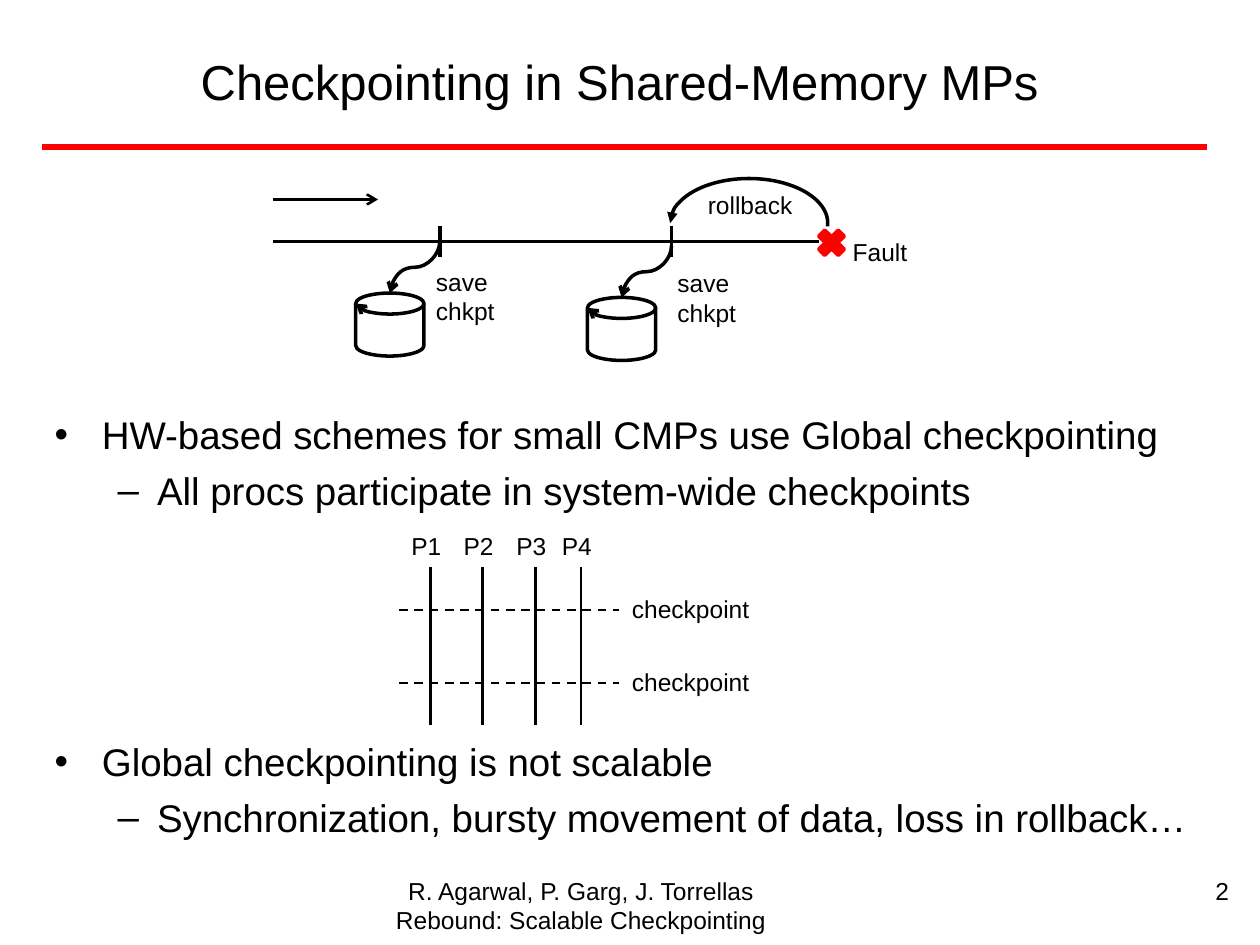
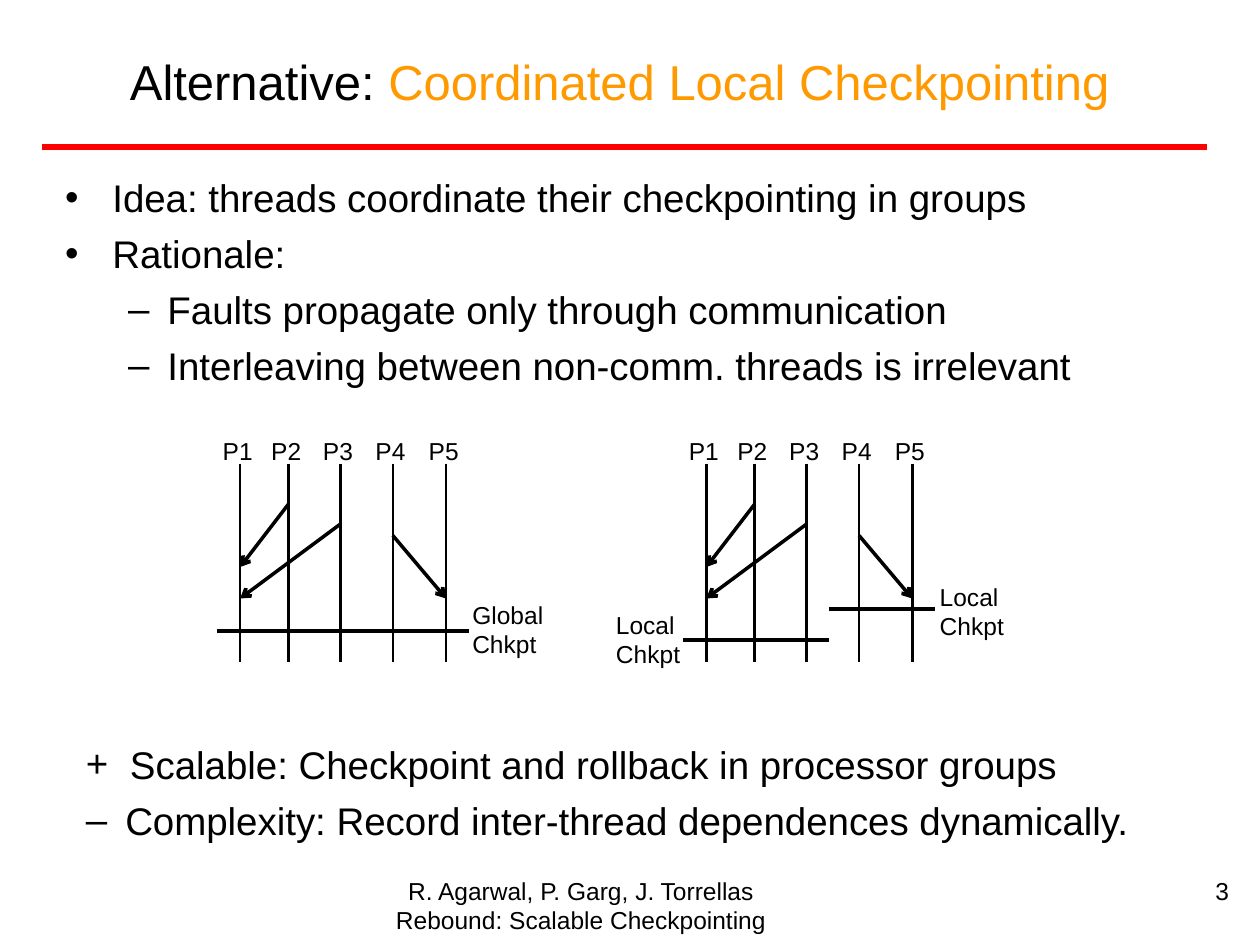
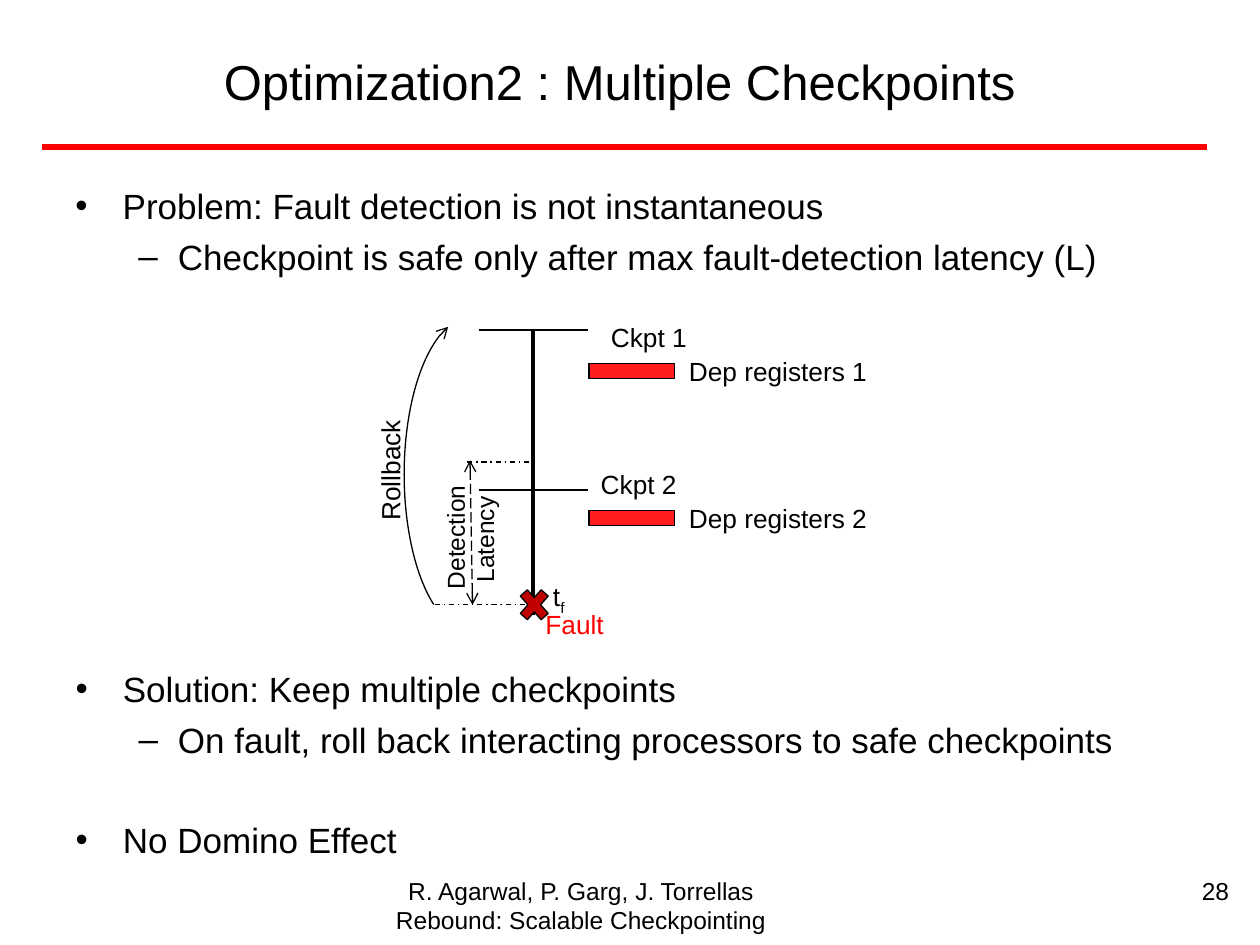
from lxml import etree
from pptx import Presentation
from pptx import util as u
from pptx.dml import color
from pptx.enum import dml, shapes, text
from pptx.oxml import ns

Pt = u.Pt
FONT = "Arial"
BLACK, WHITE, RED, ORANGE = "000000", "FFFFFF", "FF0000", "FF9900"
REGISTER_RED, FAULT_RED = "FF1D1D", "C00000"
SHAPE, LINE, DASH = shapes.MSO_SHAPE, shapes.MSO_CONNECTOR, dml.MSO_LINE
ALIGN = text.PP_ALIGN

# bullet: level, left margin, first-line indent
BULLETS = {"•": (0, 27, -27), "–": (1, 58.5, -22.5), "+": (1, 61.2, -25.2)}


# Formatting helpers

def rgb(hex_value):
    return color.RGBColor.from_string(hex_value)


def pts(*lengths):
    return [Pt(v) for v in lengths]


def add_run(p, words, size, hex_value=BLACK):
    r = p.add_run()
    r.text = words
    for name, value in {"name": FONT, "size": Pt(size)}.items():
        setattr(r.font, name, value)
    r.font.color.rgb = rgb(hex_value)
    return r


def set_margin(p, left, indent=0):
    pPr = p._p.get_or_add_pPr()
    pPr.set("marL", str(Pt(left)))
    pPr.set("indent", str(Pt(indent)))
    return pPr


def place(sp, box):
    for name, value in zip(("left", "top", "width", "height"), pts(*box)):
        setattr(sp, name, value)


def style_line(sp, hex_value, width, dash=None, head=None, tail=None):
    sp.line.color.rgb = rgb(hex_value)
    sp.line.width = Pt(width)
    if dash:
        sp.line.dash_style = dash
    ln = sp.element.spPr.find(ns.qn("a:ln"))
    for tag, kind in (("a:headEnd", head), ("a:tailEnd", tail)):
        if kind:
            etree.SubElement(ln, ns.qn(tag), type=kind)


def set_xfrm(sp, name, value):
    sp.element.spPr.find(ns.qn("a:xfrm")).set(name, value)


# Drawing helpers

def add_line(s, x1, y1, x2, y2, width, hex_value=BLACK, kind=LINE.STRAIGHT, **ends):
    c = s.shapes.add_connector(kind, *pts(x1, y1, x2, y2))
    style_line(c, hex_value, width, **ends)
    etree.SubElement(c.element.spPr, ns.qn("a:effectLst"))
    return c


def add_hook(s, x1, y1, x2, y2):
    """Curve that leaves (x1, y1) downwards and enters (x2, y2) downwards."""
    cx, cy = (x1 + x2) / 2, (y1 + y2) / 2
    half_w, half_h = (y2 - y1) / 2, (x1 - x2) / 2
    c = add_line(s, cx - half_w, cy - half_h, cx + half_w, cy + half_h, 2,
                 kind=LINE.CURVE, tail="arrow")
    set_xfrm(c, "rot", "5400000")


def add_figure(s, kind, box, fill, line, width, **ends):
    sp = s.shapes.add_shape(kind, *pts(*box))
    sp.shadow.inherit = False
    if fill:
        sp.fill.solid()
        sp.fill.fore_color.rgb = rgb(fill)
    else:
        sp.fill.background()
    style_line(sp, line, width, **ends)
    return sp


def add_arc(s, box, fill, width, adjustments, head):
    sp = add_figure(s, SHAPE.ARC, box, fill, BLACK, width, head=head)
    for i, value in enumerate(adjustments):
        sp.adjustments[i] = value
    return sp


def add_label(s, box, words, size=14, hex_value=BLACK, align=ALIGN.LEFT, rotation=0):
    sp = s.shapes.add_textbox(*pts(*box))
    sp.rotation = rotation
    tf = sp.text_frame
    tf.word_wrap = True
    for i, line in enumerate(words.split("\n")):
        p = tf.add_paragraph() if i else tf.paragraphs[0]
        p.alignment = align
        add_run(p, line, size, hex_value)
    return sp


# Shared parts

def fill_list(sp, items, size):
    """Items are (bullet, words) or (bullet, words, space before)."""
    tf = sp.text_frame
    tf.word_wrap = True
    tf.auto_size = text.MSO_AUTO_SIZE.NONE
    for i, (bullet, words, *gap) in enumerate(items):
        p = tf.add_paragraph() if i else tf.paragraphs[0]
        level, left, indent = BULLETS[bullet]
        p.level = level
        pPr = set_margin(p, left, indent)
        etree.SubElement(pPr, ns.qn("a:buFont"), typeface=FONT)
        etree.SubElement(pPr, ns.qn("a:buChar"), char=bullet)
        p.space_before = Pt((gap[0] if gap else size / 4) if i else 0)
        add_run(p, words, size)


def add_list(s, box, items, size):
    fill_list(s.shapes.add_textbox(*pts(*box)), items, size)


def add_body(s, box, items, size):
    body = s.placeholders[1]
    place(body, box)
    fill_list(body, items, size)


def add_frame(s):
    """Red rule and footer, kept on the layout."""
    rule = add_line(s, 24, 84, 690, 84, 3.25, RED)
    footer = add_label(s, (128, 496.8, 408, 41),
                       "R. Agarwal, P. Garg, J. Torrellas\nRebound: Scalable Checkpointing",
                       align=ALIGN.CENTER)
    for number, sp in enumerate((rule, footer), 101):
        sp.element.xpath(".//p:cNvPr")[0].set("id", str(number))
        s.slide_layout.shapes.element.append(sp.element)


def new_slide(prs, number, *title_runs):
    s = prs.slides.add_slide(prs.slide_layouts[1])
    title = s.shapes.title
    place(title, (36, 7.2, 636, 77.8))
    tf = title.text_frame
    tf.auto_size = text.MSO_AUTO_SIZE.NONE
    tf.vertical_anchor = text.MSO_ANCHOR.MIDDLE
    p = tf.paragraphs[0]
    p.alignment = ALIGN.CENTER
    for words, hex_value in title_runs:
        add_run(p, words, 28, hex_value)
    add_label(s, (541.4, 496.8, 168, 37.4), str(number), align=ALIGN.RIGHT)
    return s


# Diagram regions

def rollback_timeline(s, x, y):
    add_figure(s, SHAPE.MATH_MULTIPLY, (x + 308.4, y + 26.2, 21.6, 21), RED, RED, 2)
    add_arc(s, (x + 227, y, 90, 51), WHITE, 2, (108, 1.43), "triangle")
    add_line(s, x, y + 36, x + 312, y + 36, 2)
    add_line(s, x, y + 12, x + 60, y + 12, 1.5, tail="arrow")
    for tick, drop, label_x in ((95.3, 0, 86), (227.7, 2.5, 224)):
        add_line(s, x + tick, y + 27, x + tick, y + 45, 2)
        disk_y = y + 65.5 + drop
        add_hook(s, x + tick, disk_y - 29.5, x + tick - 28.5, disk_y)
        add_figure(s, SHAPE.FLOWCHART_MAGNETIC_DISK, (x + tick - 48, disk_y, 39, 36),
                   WHITE, BLACK, 2, tail="arrow")
        add_label(s, (x + label_x, y + 47 + drop / 3, 52, 41), "save\nchkpt")
    add_label(s, (x + 241.4, y + 3, 66, 24.5), "rollback")
    add_label(s, (x + 324.2, y + 29.8, 50, 24.5), "Fault")


def processor_lines(s, x, y, columns, top, bottom, label_dx):
    for i, column in enumerate(columns, 1):
        add_line(s, x + column, y + top, x + column, y + bottom, 1.5)
        add_label(s, (x + column - label_dx, y, 36, 24.5), f"P{i}")


def global_checkpoint_grid(s, x, y):
    processor_lines(s, x, y, (18, 47.8, 78, 104), 24, 114, 18)
    for row in (48.5, 90.2):
        add_line(s, x, y + row, x + 126, y + row, 1.25, dash=DASH.DASH)
        add_label(s, (x + 126, y + row - 12.3, 84, 24.5), "checkpoint")


def dependence_graph(s, x, y, checkpoints):
    columns = (17.2, 44.9, 74.5, 104.5, 134.9)
    processor_lines(s, x, y, columns, 19.5, 132.5, 17)
    for sender, sent, receiver, received in ((1, 42.5, 0, 78.5), (2, 54, 0, 96.5),
                                             (3, 60.5, 4, 96.5)):
        add_line(s, x + columns[sender], y + sent,
                 x + columns[receiver], y + received, 2, tail="arrow")
    for start, end, row, label_x, label_y, words in checkpoints:
        add_line(s, x + start, y + row, x + end, y + row, 2.25)
        add_label(s, (x + label_x, y + label_y, 60, 41), words)


def detection_latency(s, x, y):
    # Time axis and its bounds
    add_line(s, x + 51, y + 84, x + 89, y + 84, 0.75, dash=DASH.DASH_DOT)
    add_line(s, x + 88.6, y + 8.6, x + 88.6, y + 171.4, 2)
    add_line(s, x + 32.4, y + 165.6, x + 90.7, y + 165.6, 0.75, dash=DASH.DASH_DOT)
    add_line(s, x + 54, y + 165.6, x + 52.6, y + 83, 0.75, dash=DASH.LONG_DASH,
             head="arrow", tail="arrow")
    latency = add_label(s, (x + 4.3, y + 93.6, 98, 42.5), "Detection\nLatency", rotation=270)
    set_margin(latency.text_frame.paragraphs[1], 3.9)

    # Checkpoints with their dependence registers
    for i, (tick, top, left) in enumerate(((8.6, 0, 126), (100, 84, 120.2)), 1):
        add_line(s, x + 57.6, y + tick, x + 120.2, y + tick, 1)
        add_label(s, (x + left, y + top, 147.6, 25), f"Ckpt {i}", 15)
        add_figure(s, SHAPE.RECTANGLE, (x + 120.6, y + top + 27.9, 49, 8.6),
                   REGISTER_RED, BLACK, 0.75)
        add_label(s, (x + 170.6, y + top + 19.5, 147.6, 25), f"Dep registers {i}", 15)

    # Fault and rollback
    add_figure(s, SHAPE.MATH_MULTIPLY, (x + 77.8, y + 152.6, 23, 26), FAULT_RED, BLACK, 0.75)
    add_label(s, (x + 88.6, y + 164.2, 76, 25), "Fault", 15, RED)
    fault_time = add_label(s, (x + 92.9, y + 148.3, 147.6, 25), "t", 15)
    subscript = add_run(fault_time.text_frame.paragraphs[0], "f", 15)
    subscript._r.get_or_add_rPr().set("baseline", "-25000")
    arc = add_arc(s, (x + 15, y + 1.4, 76.3, 179.3), None, 0.75, (167.27, 44.43), "arrow")
    set_xfrm(arc, "flipH", "1")
    add_label(s, (x - 40.3, y + 63.4, 95.8, 26.6), "Rollback", 15, rotation=270)


# Slides

def shared_memory_slide(prs):
    s = new_slide(prs, 2, ("Checkpointing in Shared-Memory MPs", BLACK))
    add_frame(s)
    add_body(s, (24, 231.4, 684, 266.6), (
        ("•", "HW-based schemes for small CMPs use Global checkpointing"),
        ("–", "All procs participate in system-wide checkpoints"),
        ("•", "Global checkpointing is not scalable", 128.5),
        ("–", "Synchronization, bursty movement of data, loss in rollback…")), 22)
    rollback_timeline(s, 156, 102)
    global_checkpoint_grid(s, 228, 300)


def local_checkpointing_slide(prs):
    s = new_slide(prs, 3, ("Alternative: ", BLACK),
                  ("Coordinated Local Checkpointing", ORANGE))
    add_body(s, (30, 96, 654, 132), (
        ("•", "Idea: threads coordinate their checkpointing in groups"),
        ("•", "Rationale:"),
        ("–", "Faults propagate only through communication"),
        ("–", "Interleaving between non-comm. threads is irrelevant")), 22)
    add_list(s, (6, 420, 654, 78), (
        ("+", "Scalable: Checkpoint and rollback in processor groups"),
        ("–", "Complexity: Record inter-thread dependences dynamically.")), 22)
    dependence_graph(s, 120, 245.5, ((3.8, 147.8, 115.2, 142.8, 93.6, "Global\nChkpt"),))
    dependence_graph(s, 386.4, 245.5, (
        (3.8, 87.4, 120.3, -41.5, 99.4, "Local\nChkpt"),
        (87.4, 147.8, 102.3, 143.5, 83.5, "Local\nChkpt")))


def multiple_checkpoints_slide(prs):
    s = new_slide(prs, 28, ("Optimization2 : Multiple Checkpoints", BLACK))
    add_list(s, (36, 102, 666, 84), (
        ("•", "Problem: Fault detection is not instantaneous"),
        ("–", "Checkpoint is safe only after max fault-detection latency (L)")), 20)
    add_body(s, (36, 378, 666, 120), (
        ("•", "Solution: Keep multiple checkpoints"),
        ("–", "On fault, roll back interacting processors to safe checkpoints"),
        ("•", "No Domino Effect", 33)), 20)
    detection_latency(s, 216, 180)


def main():
    prs = Presentation()
    prs.slide_width, prs.slide_height = pts(720, 540)
    shared_memory_slide(prs)
    local_checkpointing_slide(prs)
    multiple_checkpoints_slide(prs)
    prs.save("out.pptx")


if __name__ == "__main__":
    main()
